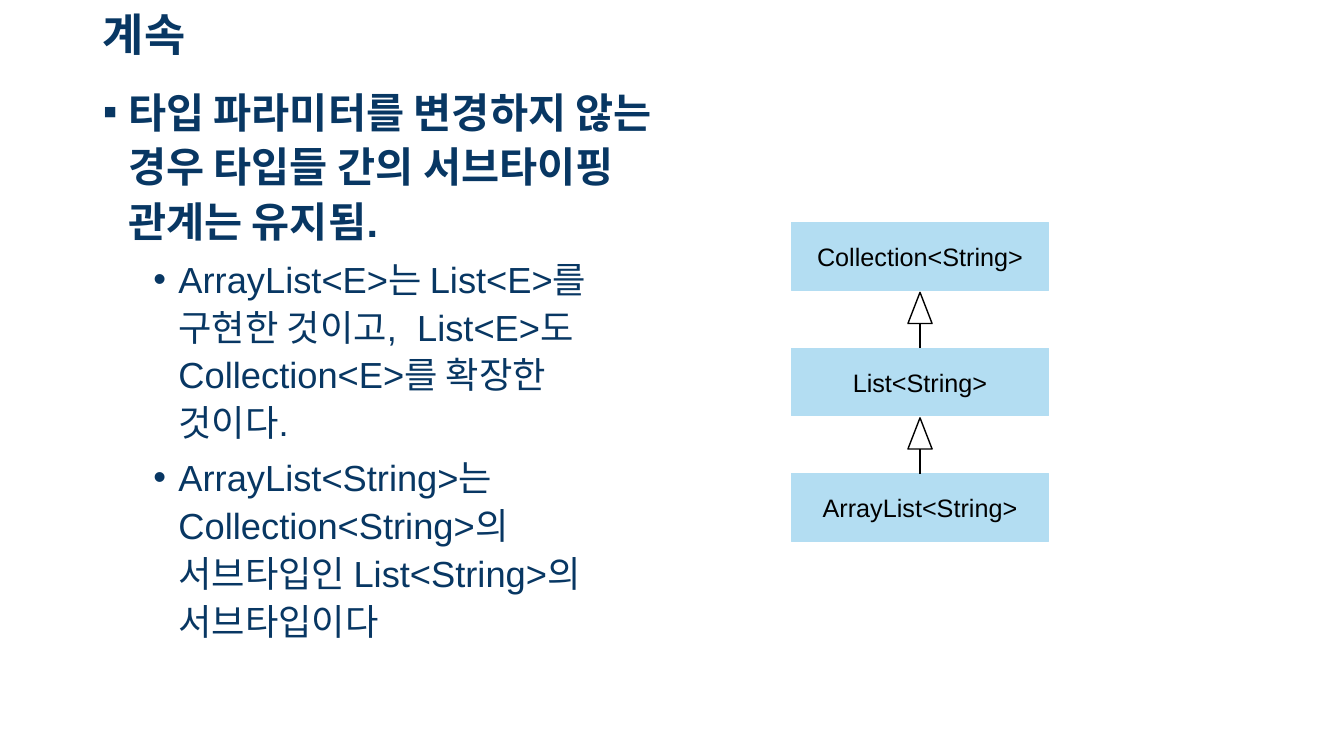
from pptx import Presentation
from pptx.dml.color import RGBColor
from pptx.enum.shapes import MSO_CONNECTOR as Conn, MSO_SHAPE as Kind
from pptx.enum.text import MSO_ANCHOR as Anchor, MSO_AUTO_SIZE as Fit, PP_ALIGN as Align
from pptx.oxml.ns import qn
from pptx.util import Inches, Pt
from lxml.etree import SubElement

NAVY, SKY, BLACK, WHITE = "083763", "B3DDF2", "000000", "FFFFFF"

# Class boxes, parent first
TYPES = ["Collection<String>", "List<String>", "ArrayList<String>"]
LEFT, TOP, WIDE, HIGH, STEP = 7.85, 2.21, 2.55, 0.67, 1.245
MID = LEFT + WIDE / 2
HEAD_W, HEAD_H, GAP = 0.24, 0.31, 0.02

# Level, text
POINTS = [
    (0, "타입 파라미터를 변경하지 않는 경우 타입들 간의 서브타이핑 관계는 유지됨."),
    (1, "ArrayList<E>는 List<E>를 구현한 것이고,  List<E>도 Collection<E>를 확장한 것이다."),
    (1, "ArrayList<String>는 Collection<String>의 서브타입인 List<String>의 서브타입이다"),
]
# Format, indent, bullet for each level
LEVELS = [
    (dict(size=29.6, bold=True, before=10), 0.25, "▪"),
    (dict(size=25.9, before=5), 0.75, "•"),
]


def color(code):
    return RGBColor.from_string(code)


def write(para, text, size=18, tint=NAVY, bold=False, align=Align.LEFT,
          space=1.0, before=0):
    para.alignment = align
    para.line_spacing = space
    para.space_before = Pt(before)
    run = para.add_run()
    run.text = text
    font = run.font
    font.name, font.size, font.bold = "Arial", Pt(size), bold
    font.color.rgb = color(tint)


def bullet(para, indent, mark):
    props = para._p.get_or_add_pPr()
    props.set("marL", str(Inches(indent)))
    props.set("indent", str(Inches(-0.25)))
    SubElement(props, qn("a:buFont")).set("typeface", "Arial")
    SubElement(props, qn("a:buChar")).set("char", mark)


def place(holder, x, y, w, h, anchor):
    holder.left, holder.top = Inches(x), Inches(y)
    holder.width, holder.height = Inches(w), Inches(h)
    frame = holder.text_frame
    frame.auto_size = Fit.NONE
    frame.word_wrap = True
    frame.vertical_anchor = anchor
    return frame


def shape(slide, kind, x, y, w, h, fill, line):
    item = slide.shapes.add_shape(kind, Inches(x), Inches(y), Inches(w), Inches(h))
    item.shadow.inherit = False
    item.fill.solid()
    item.fill.fore_color.rgb = color(fill)
    item.line.color.rgb = color(line)
    item.line.width = Pt(1)
    return item


def box(slide, y, text):
    item = shape(slide, Kind.RECTANGLE, LEFT, y, WIDE, HIGH, SKY, SKY)
    item.text_frame.vertical_anchor = Anchor.MIDDLE
    write(item.text_frame.paragraphs[0], text, tint=BLACK, align=Align.CENTER)
    return item


def arrow(slide, child, y):
    """Hollow inheritance arrow from the child box up to height y."""
    shape(slide, Kind.ISOSCELES_TRIANGLE, MID - HEAD_W / 2, y, HEAD_W, HEAD_H,
          WHITE, BLACK)
    base = Inches(y + HEAD_H)
    stem = slide.shapes.add_connector(Conn.STRAIGHT, Inches(MID), child.top,
                                      Inches(MID), base)
    stem.begin_connect(child, 0)
    stem.line.color.rgb = color(BLACK)
    stem.line.width = Pt(1)
    SubElement(stem._element.spPr, qn("a:effectLst"))


def main():
    deck = Presentation()
    deck.slide_width, deck.slide_height = Inches(13.33), Inches(7.5)
    slide = deck.slides.add_slide(deck.slide_layouts[1])

    # Title
    frame = place(slide.shapes.title, 0.92, 0.07, 11.5, 0.6, Anchor.MIDDLE)
    write(frame.paragraphs[0], "계속", size=32, bold=True, space=0.9)

    # Bullet list
    frame = place(slide.placeholders[1], 0.92, 0.76, 5.67, 6.1, Anchor.TOP)
    for i, (level, text) in enumerate(POINTS):
        para = frame.add_paragraph() if i else frame.paragraphs[0]
        style, indent, mark = LEVELS[level]
        para.level = level
        write(para, text, space=1.1, **style)
        bullet(para, indent, mark)

    # Type hierarchy
    for i, name in enumerate(TYPES):
        y = TOP + i * STEP
        item = box(slide, y, name)
        if i:
            arrow(slide, item, y - STEP + HIGH + GAP)

    deck.save("out.pptx")


if __name__ == "__main__":
    main()
